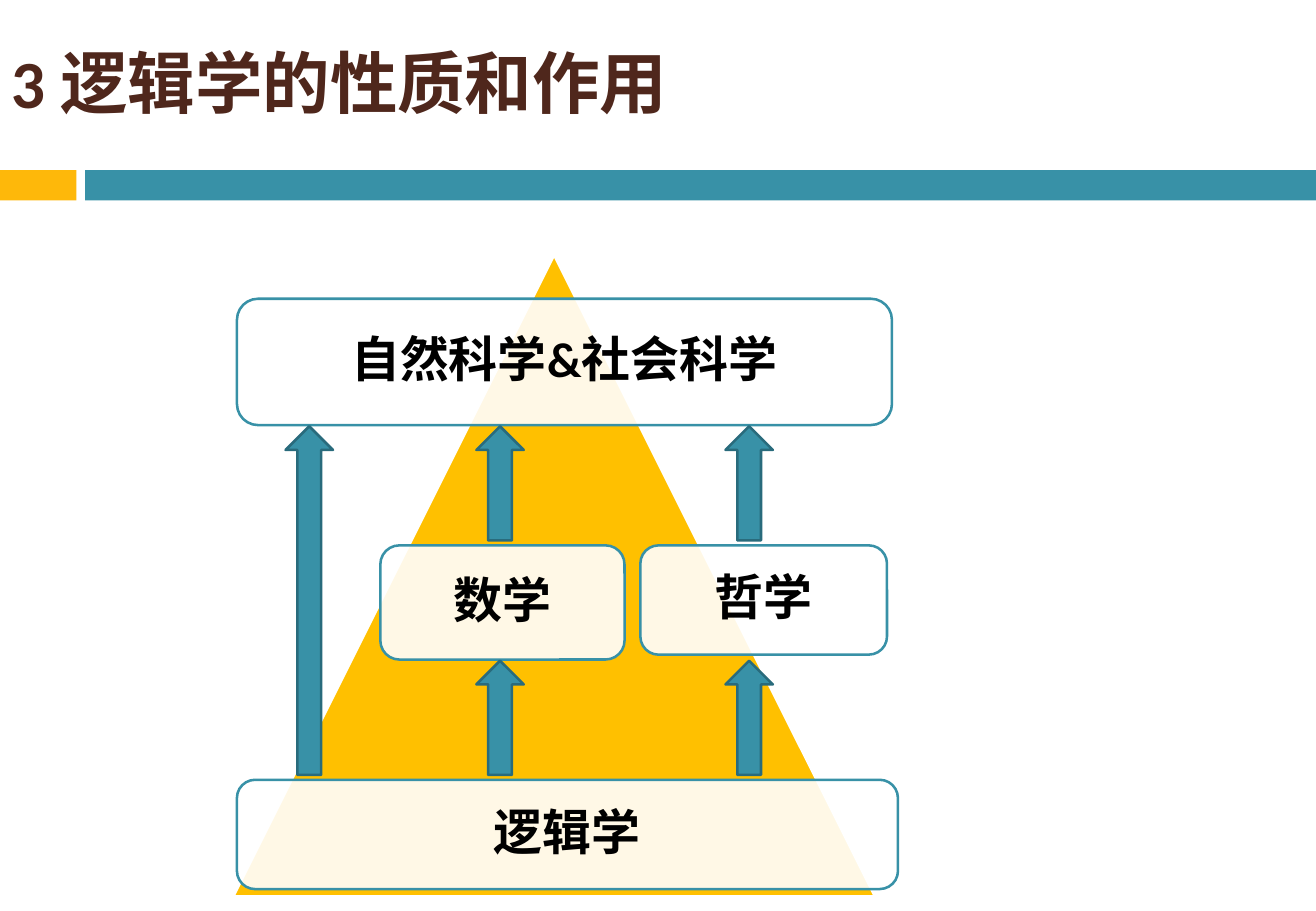
from typing import NamedTuple, Optional

from lxml import etree
from pptx import Presentation
from pptx import util as u
from pptx.dml import color
from pptx.enum import lang, shapes, text
from pptx.oxml import ns

COLORS = {
    "teal": "3891A7",
    "dark_teal": "296B7C",
    "amber": "FEB80A",
    "gold": "FFC000",
    "brown": "4F271C",
    "white": "FFFFFF",
    "black": "000000",
}
FONT = "Calibri"
WIDTH, HEIGHT = u.Inches(10.83), u.Inches(7.5)
COL, ROW = WIDTH / 108.3, HEIGHT / 75


class Area(NamedTuple):
    col: float
    row: float
    cols: float
    rows: float


class Box(NamedTuple):
    label: str
    area: Area


class Rise(NamedTuple):
    col: float
    row: float
    rows: float


BANDS = [("amber", Area(0, 14, 6.3, 2.5)), ("teal", Area(7, 14, 101.3, 2.5))]
PYRAMID = Area(19.2, 21, 52.8, 52.8)
BOXES = [
    Box("自然科学&社会科学", Area(19.5, 24.6, 53.9, 10.4)),
    Box("数学", Area(31.3, 44.9, 20.1, 9.4)),
    Box("逻辑学", Area(19.5, 64.2, 54.4, 9)),
    Box("哲学", Area(52.7, 44.9, 20.3, 9)),
]
ARROW_COLS = 3.9
UPPER, LOWER, SHORT = 35.1, 54.4, 9.4
RISES = [Rise(col, row, SHORT) for row in (UPPER, LOWER) for col in (39.2, 59.7)]
RISES.append(Rise(23.5, UPPER, LOWER + SHORT - UPPER))


def rgb(name: str) -> color.RGBColor:
    return color.RGBColor.from_string(COLORS[name])


def place(s, area: Area) -> None:
    s.left, s.width = round(area.col * COL), round(area.cols * COL)
    s.top, s.height = round(area.row * ROW), round(area.rows * ROW)


def add_shape(slide, kind, area: Area, fill: str, line: Optional[str] = None,
              opacity: int = 100):
    s = slide.shapes.add_shape(kind, 0, 0, 0, 0)
    place(s, area)
    s.shadow.inherit = False
    s.fill.solid()
    s.fill.fore_color.rgb = rgb(fill)
    if opacity < 100:
        clr = s._element.spPr.find(f".//{ns.qn('a:srgbClr')}")
        etree.SubElement(clr, ns.qn("a:alpha"), val=str(opacity * 1000))
    if line:
        s.line.color.rgb = rgb(line)
        s.line.width = u.Pt(1.5)
    else:
        s.line.fill.background()
    return s


def write(s, words: str, *, size: float, ink: str, align, spacing: float = 1,
          inset: float = 0.1) -> None:
    tf = s.text_frame
    tf.word_wrap = True
    tf.auto_size = text.MSO_AUTO_SIZE.NONE
    tf.vertical_anchor = text.MSO_ANCHOR.MIDDLE
    tf.margin_left = tf.margin_right = u.Inches(inset)
    tf.margin_top = tf.margin_bottom = u.Inches(inset)
    p = tf.paragraphs[0]
    p.alignment = align
    p.line_spacing = spacing
    r = p.add_run()
    r.text = words
    r.font.name = FONT
    r.font.size = u.Pt(size)
    r.font.bold = True
    r.font.color.rgb = rgb(ink)
    r.font.language_id = lang.MSO_LANGUAGE_ID.SIMPLIFIED_CHINESE


def main() -> None:
    prs = Presentation()
    prs.slide_width, prs.slide_height = WIDTH, HEIGHT
    slide = prs.slides.add_slide(prs.slide_layouts[5])
    kinds = shapes.MSO_SHAPE

    title = slide.shapes.title
    place(title, Area(-0.1, 1.3, 96.6, 10.8))
    write(title, "3 逻辑学的性质和作用", size=40, ink="brown",
          align=text.PP_ALIGN.LEFT)

    for fill, area in BANDS:
        add_shape(slide, kinds.RECTANGLE, area, fill)
    add_shape(slide, kinds.ISOSCELES_TRIANGLE, PYRAMID, "gold", "white")
    for box in BOXES:
        s = add_shape(slide, kinds.ROUNDED_RECTANGLE, box.area, "white", "teal", 90)
        write(s, box.label, size=29, ink="black", align=text.PP_ALIGN.CENTER,
              spacing=0.9, inset=0.12)
    for rise in RISES:
        area = Area(rise.col, rise.row, ARROW_COLS, rise.rows)
        add_shape(slide, kinds.UP_ARROW, area, "teal", "dark_teal")

    prs.save("out.pptx")


if __name__ == "__main__":
    main()
